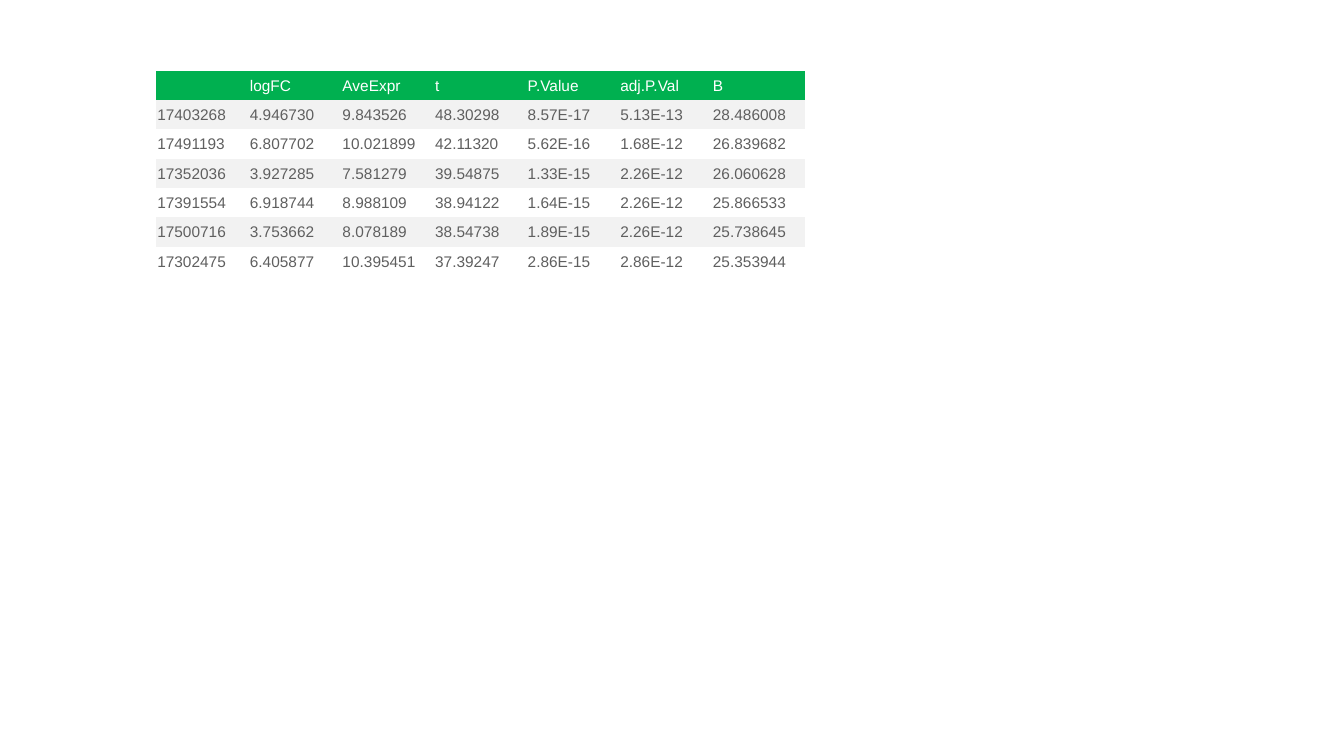
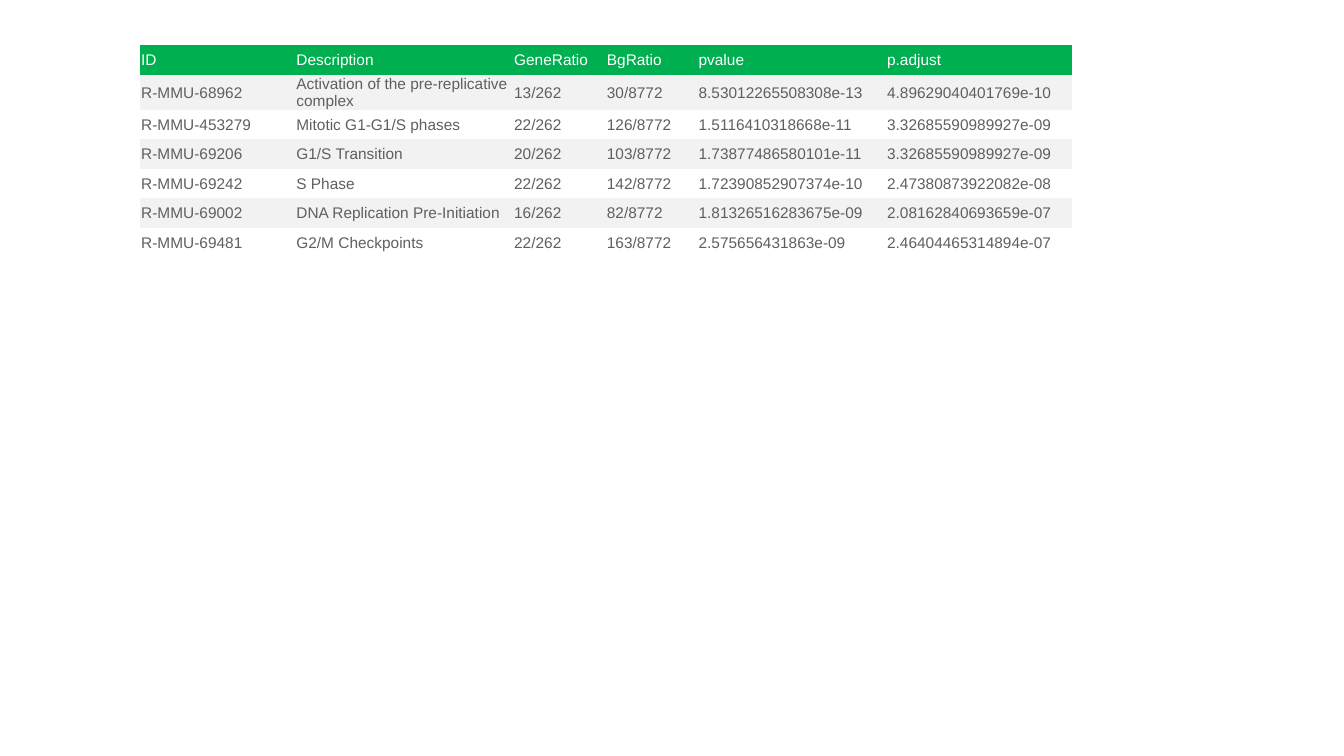
from lxml.etree import SubElement
from pptx import Presentation
from pptx.dml.color import RGBColor
from pptx.enum.text import MSO_ANCHOR
from pptx.oxml.ns import qn
from pptx.util import Inches, Pt

# Content
GENE_ROWS = [
    ("", "logFC", "AveExpr", "t", "P.Value", "adj.P.Val", "B"),
    ("17403268", "4.946730", "9.843526", "48.30298", "8.57E-17", "5.13E-13", "28.486008"),
    ("17491193", "6.807702", "10.021899", "42.11320", "5.62E-16", "1.68E-12", "26.839682"),
    ("17352036", "3.927285", "7.581279", "39.54875", "1.33E-15", "2.26E-12", "26.060628"),
    ("17391554", "6.918744", "8.988109", "38.94122", "1.64E-15", "2.26E-12", "25.866533"),
    ("17500716", "3.753662", "8.078189", "38.54738", "1.89E-15", "2.26E-12", "25.738645"),
    ("17302475", "6.405877", "10.395451", "37.39247", "2.86E-15", "2.86E-12", "25.353944"),
]
PATHWAY_ROWS = [
    ("ID", "Description", "GeneRatio", "BgRatio", "pvalue", "p.adjust"),
    ("R-MMU-68962", "Activation of the pre-replicative complex", "13/262", "30/8772",
     "8.53012265508308e-13", "4.89629040401769e-10"),
    ("R-MMU-453279", "Mitotic G1-G1/S phases", "22/262", "126/8772",
     "1.5116410318668e-11", "3.32685590989927e-09"),
    ("R-MMU-69206", "G1/S Transition", "20/262", "103/8772",
     "1.73877486580101e-11", "3.32685590989927e-09"),
    ("R-MMU-69242", "S Phase", "22/262", "142/8772",
     "1.72390852907374e-10", "2.47380873922082e-08"),
    ("R-MMU-69002", "DNA Replication Pre-Initiation", "16/262", "82/8772",
     "1.81326516283675e-09", "2.08162840693659e-07"),
    ("R-MMU-69481", "G2/M Checkpoints", "22/262", "163/8772",
     "2.575656431863e-09", "2.46404465314894e-07"),
]
# Rows, left, top and column widths of each slide's table, in inches
TABLES = [
    (GENE_ROWS, 1.55, 0.7, [6.43 / 7] * 7),
    (PATHWAY_ROWS, 1.39, 0.45, [1.54, 2.16, 0.92, 0.91, 1.87, 1.84]),
]

# Shared style
GREEN = RGBColor(0x00, 0xB0, 0x50)
PALE_GRAY = RGBColor(0xF2, 0xF2, 0xF2)
GRAY = RGBColor(0x5F, 0x5F, 0x5F)
WHITE = RGBColor(0xFF, 0xFF, 0xFF)
FONT = "Arial"
TEXT_SIZE = 11
TABLE_HEIGHT = 2.04
NO_GRID_STYLE = "{2D5ABB26-0587-4C30-8999-92F81FD0307C}"


def write_cell(cell, text, color=GRAY, fill=None, size=TEXT_SIZE):
    cell.margin_left = cell.margin_right = cell.margin_top = Inches(0.01)
    cell.margin_bottom = 0
    cell.vertical_anchor = MSO_ANCHOR.MIDDLE
    if fill is None:
        cell.fill.background()
    else:
        cell.fill.solid()
        cell.fill.fore_color.rgb = fill
    para = cell.text_frame.paragraphs[0]
    if not text:
        # The end mark keeps an empty cell from stretching its row
        SubElement(para._p, qn("a:endParaRPr"), sz=str(size * 100))
        return
    span = para.add_run()
    span.text = text
    span.font.name = FONT
    span.font.size = Pt(size)
    span.font.color.rgb = color


def add_data_table(page, rows, left, top, widths):
    frame = page.shapes.add_table(len(rows), len(widths), Inches(left), Inches(top),
                                  Inches(sum(widths)), Inches(TABLE_HEIGHT))
    frame.element.find(".//" + qn("a:tableStyleId")).text = NO_GRID_STYLE
    table = frame.table
    for column, width in zip(table.columns, widths):
        column.width = Inches(width)
    for index, values in enumerate(rows):
        table.rows[index].height = Inches(TABLE_HEIGHT / len(rows))
        # Green header, then gray on every other row
        if index == 0:
            color, fill = WHITE, GREEN
        else:
            color, fill = GRAY, PALE_GRAY if index % 2 else None
        for cell, text in zip(table.rows[index].cells, values):
            write_cell(cell, text, color=color, fill=fill)


# Slides
deck = Presentation()
deck.slide_width, deck.slide_height = Inches(13.33), Inches(7.5)
blank_layout = deck.slide_layouts[6]
for rows, left, top, widths in TABLES:
    add_data_table(deck.slides.add_slide(blank_layout), rows, left, top, widths)
deck.save("out.pptx")
